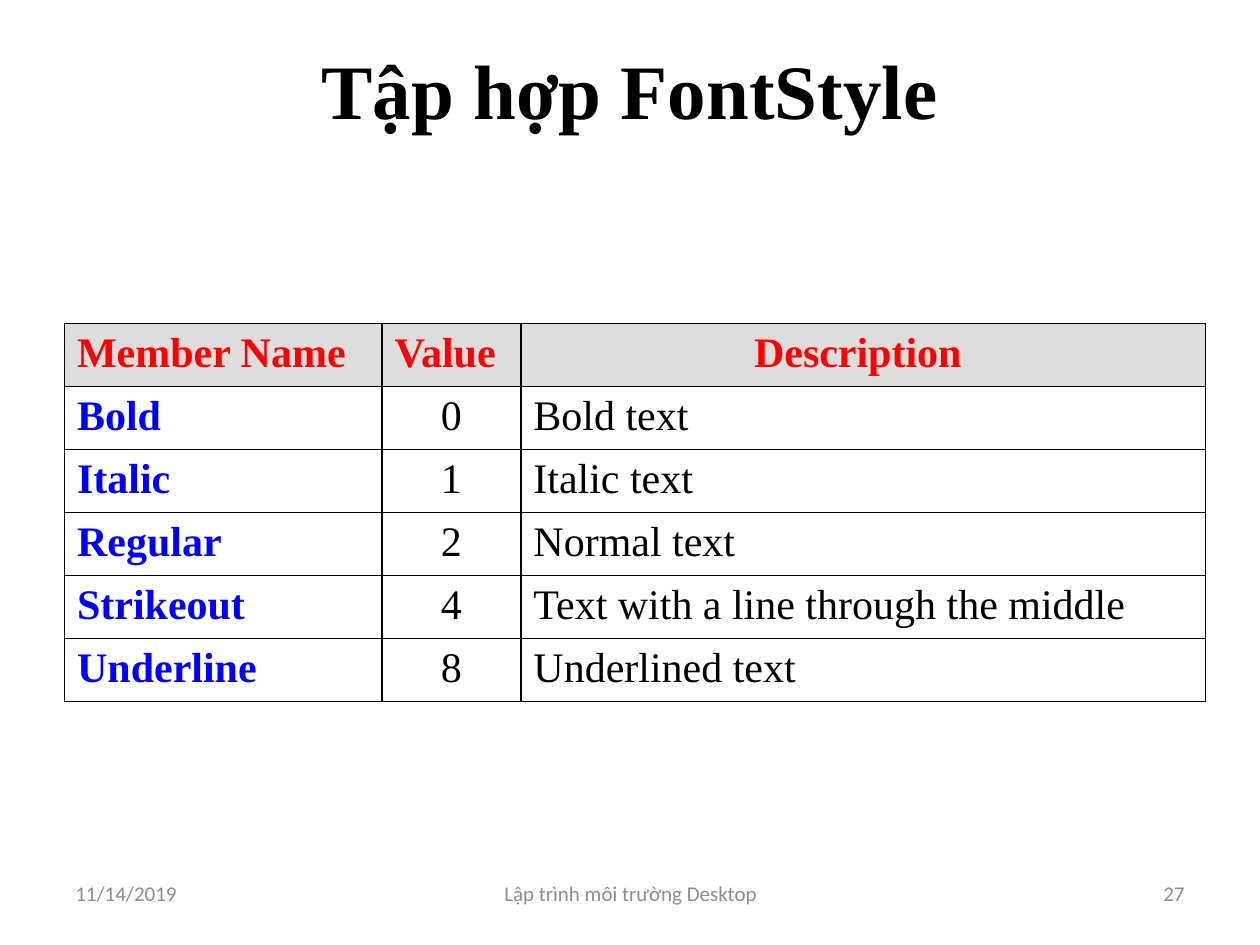
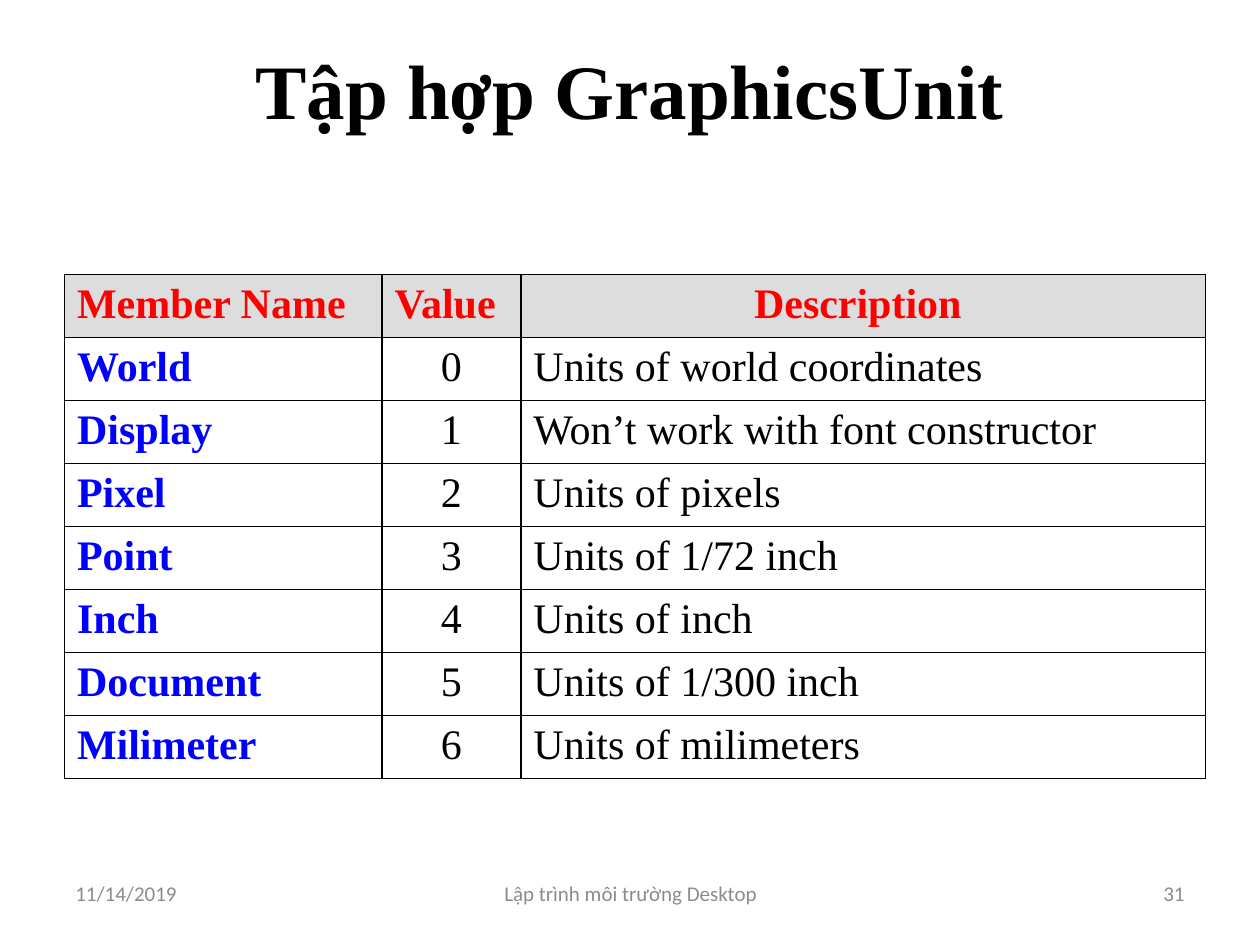
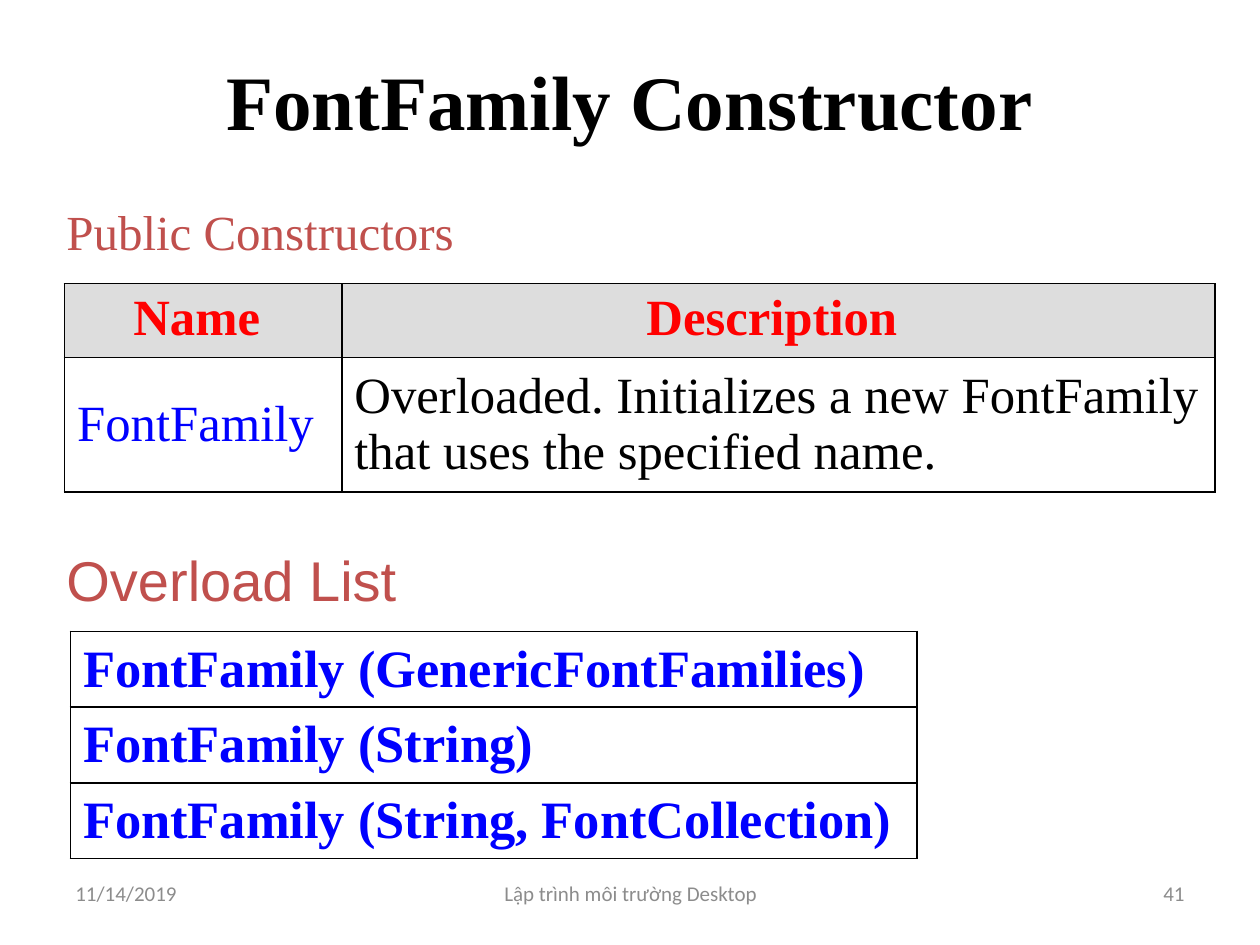
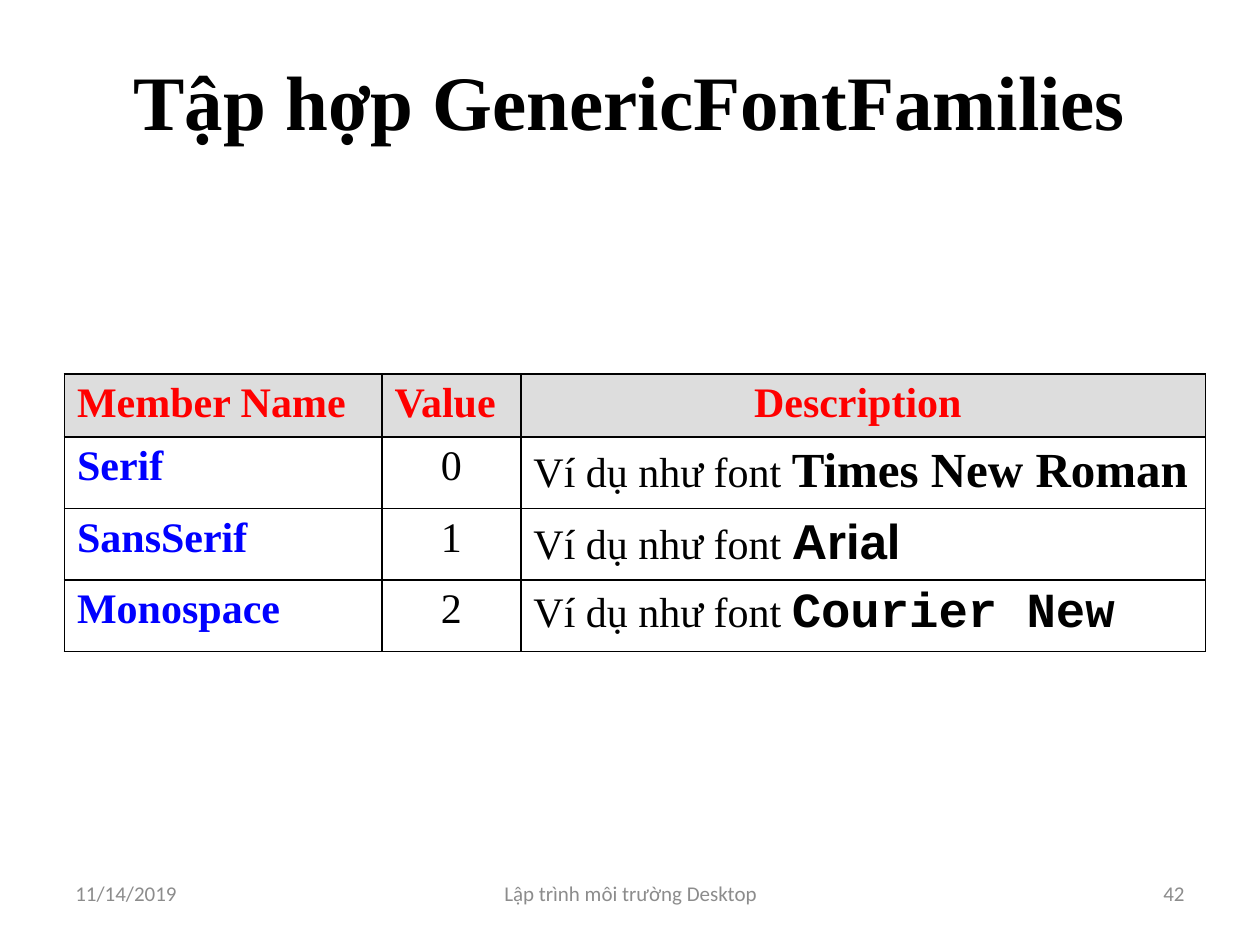
from lxml.etree import SubElement
from pptx import Presentation
from pptx.dml.color import RGBColor
from pptx.enum.text import MSO_ANCHOR, PP_ALIGN
from pptx.oxml.ns import qn
from pptx.util import Cm, Pt

SERIF, SANS, MONO, FOOTER_FONT = "Times New Roman", "Arial", "Courier New", "Calibri"
BLACK, RED, BLUE, ROSE = "000000", "FF0000", "0000FF", "C0504D"
HEADER_FILL, FOOTER_GREY = "DDDDDD", "8C8C8C"
LEFT, CENTER, RIGHT = PP_ALIGN.LEFT, PP_ALIGN.CENTER, PP_ALIGN.RIGHT
TABLE_LEFT = 1.3
ROW_HEIGHT = 1.22
MEMBER_COLUMNS = (6.4, 2.8, 13.8)
MEMBER_HEADER = ("Member Name", "Value", "Description ")


def rgb(color):
    return RGBColor.from_string(color)


def set_font(font, size, color=BLACK, bold=False, name=SERIF):
    font.name, font.size, font.bold = name, Pt(size), bold
    font.color.rgb = rgb(color)


def add_slide(prs, title, title_top, number):
    """Add a title-only slide with its heading and the three footer parts."""
    slide = prs.slides.add_slide(prs.slide_layouts[5])
    heading = slide.shapes.title
    heading.left, heading.top = Cm(1.27), Cm(title_top)
    heading.width, heading.height = Cm(22.86), Cm(3.18)
    heading.text_frame.text = title
    heading.text_frame.vertical_anchor = MSO_ANCHOR.MIDDLE
    paragraph = heading.text_frame.paragraphs[0]
    paragraph.alignment = CENTER
    set_font(paragraph.font, 44, bold=True)

    for text, left, width, align in (
        ("11/14/2019", 1.27, 5.92, LEFT),
        ("Lập trình môi trường Desktop", 8.69, 8.05, CENTER),
        (str(number), 18.21, 5.92, RIGHT),
    ):
        footer = add_text(slide, text, left, 17.35, width, 1.32, align)
        set_font(footer.font, 12, FOOTER_GREY, name=FOOTER_FONT)
    return slide


def add_text(slide, text, left, top, width, height, align=LEFT, anchor=MSO_ANCHOR.MIDDLE):
    frame = slide.shapes.add_textbox(Cm(left), Cm(top), Cm(width), Cm(height)).text_frame
    frame.word_wrap = True
    frame.vertical_anchor = anchor
    paragraph = frame.paragraphs[0]
    paragraph.text = text
    paragraph.alignment = align
    return paragraph


def add_subheading(slide, text, top, width, size, font_name):
    paragraph = add_text(slide, text, 1.09, top, width, 1.5, anchor=MSO_ANCHOR.TOP)
    paragraph.line_spacing = 0.8
    set_font(paragraph.font, size, ROSE, name=font_name)


def add_borders(cell):
    properties = cell._tc.get_or_add_tcPr()
    for index, side in enumerate(("lnL", "lnR", "lnT", "lnB")):
        line = SubElement(properties, qn(f"a:{side}"), w=str(Pt(1)))
        fill = SubElement(line, qn("a:solidFill"))
        SubElement(fill, qn("a:srgbClr"), val=BLACK)
        properties.insert(index, line)


def add_grid(slide, left, top, columns, row_heights):
    """Add an empty table with plain bordered cells."""
    table = slide.shapes.add_table(
        len(row_heights), len(columns), Cm(left), Cm(top),
        Cm(sum(columns)), Cm(sum(row_heights)),
    ).table
    table.first_row = table.horz_banding = False
    for column, width in zip(table.columns, columns):
        column.width = Cm(width)
    for row, height in zip(table.rows, row_heights):
        row.height = Cm(height)
    for cell in table.iter_cells():
        cell.fill.background()
        add_borders(cell)
    return table


def fill_cell(cell, text, size, color=BLACK, bold=False, align=LEFT, anchor=MSO_ANCHOR.TOP):
    cell.vertical_anchor = anchor
    paragraph = cell.text_frame.paragraphs[0]
    paragraph.text = text
    paragraph.alignment = align
    set_font(paragraph.font, size, color, bold)
    return paragraph


def fill_header(table, labels, size, alignments):
    for cell, label, align in zip(table.rows[0].cells, labels, alignments):
        fill_cell(cell, label, size, RED, True, align)
        cell.fill.solid()
        cell.fill.fore_color.rgb = rgb(HEADER_FILL)


def add_member_table(slide, top, members, row_heights):
    """List enumeration members, whose values count as given, with descriptions."""
    table = add_grid(slide, TABLE_LEFT, top, MEMBER_COLUMNS, row_heights)
    fill_header(table, MEMBER_HEADER, 24, (LEFT, LEFT, CENTER))
    for row, (name, value, description) in enumerate(members, start=1):
        fill_cell(table.cell(row, 0), name, 24, BLUE, True)
        fill_cell(table.cell(row, 1), str(value), 24, align=CENTER)
        fill_cell(table.cell(row, 2), description, 24)
    return table


def add_font_style_slide(prs):
    slide = add_slide(prs, "Tập hợp FontStyle", 0.2, 27)
    members = (
        ("Bold", 0, "Bold text"),
        ("Italic", 1, "Italic text"),
        ("Regular", 2, "Normal text"),
        ("Strikeout", 4, "Text with a line through the middle"),
        ("Underline", 8, "Underlined text"),
    )
    add_member_table(slide, 6.52, members, [ROW_HEIGHT] * 6)


def add_graphics_unit_slide(prs):
    slide = add_slide(prs, "Tập hợp GraphicsUnit", 0.2, 31)
    members = (
        ("World", 0, "Units of world coordinates"),
        ("Display", 1, "Won’t work with font constructor"),
        ("Pixel", 2, "Units of pixels"),
        ("Point", 3, "Units of 1/72 inch"),
        ("Inch", 4, "Units of inch"),
        ("Document", 5, "Units of 1/300 inch"),
        ("Milimeter", 6, "Units of milimeters"),
    )
    row_heights = [ROW_HEIGHT] * 4 + [1.27] * 3 + [ROW_HEIGHT]
    add_member_table(slide, 5.53, members, row_heights)


def add_constructor_slide(prs):
    slide = add_slide(prs, "FontFamily Constructor", 0.41, 41)
    middle = MSO_ANCHOR.MIDDLE

    add_subheading(slide, "Public Constructors", 4.17, 10.44, 28, SERIF)
    constructors = add_grid(slide, TABLE_LEFT, 5.72, (5.59, 17.6), (1.4, 2.6))
    fill_header(constructors, ("Name ", "Description "), 29, (CENTER, CENTER))
    fill_cell(constructors.cell(1, 0), "FontFamily", 29, BLUE, anchor=middle)
    fill_cell(
        constructors.cell(1, 1),
        "Overloaded. Initializes a new FontFamily that uses the specified name.",
        29, anchor=middle,
    )

    add_subheading(slide, "Overload List", 11.13, 22.83, 32, SANS)
    signatures = ("GenericFontFamilies", "String", "String, FontCollection")
    overloads = add_grid(slide, 1.42, 12.73, (17.07,), [1.43] * 3)
    for row, arguments in enumerate(signatures):
        fill_cell(overloads.cell(row, 0), f"FontFamily ({arguments})", 30, BLUE, True, anchor=middle)


def add_generic_families_slide(prs):
    slide = add_slide(prs, "Tập hợp GenericFontFamilies", 0.41, 42)
    example = "Ví dụ như font "
    families = (("Serif", SERIF), ("SansSerif", SANS), ("Monospace", MONO))
    members = [(family, value, example) for value, (family, _) in enumerate(families)]
    table = add_member_table(slide, 7.54, members, [ROW_HEIGHT] + [1.36] * 3)
    for row, (_, font_name) in enumerate(families, start=1):
        sample = table.cell(row, 2).text_frame.paragraphs[0].add_run()
        sample.text = font_name
        set_font(sample.font, 28, bold=True, name=font_name)


def main():
    prs = Presentation()
    prs.slide_width, prs.slide_height = Cm(25.4), Cm(19.05)
    add_font_style_slide(prs)
    add_graphics_unit_slide(prs)
    add_constructor_slide(prs)
    add_generic_families_slide(prs)
    prs.save("out.pptx")


if __name__ == "__main__":
    main()
